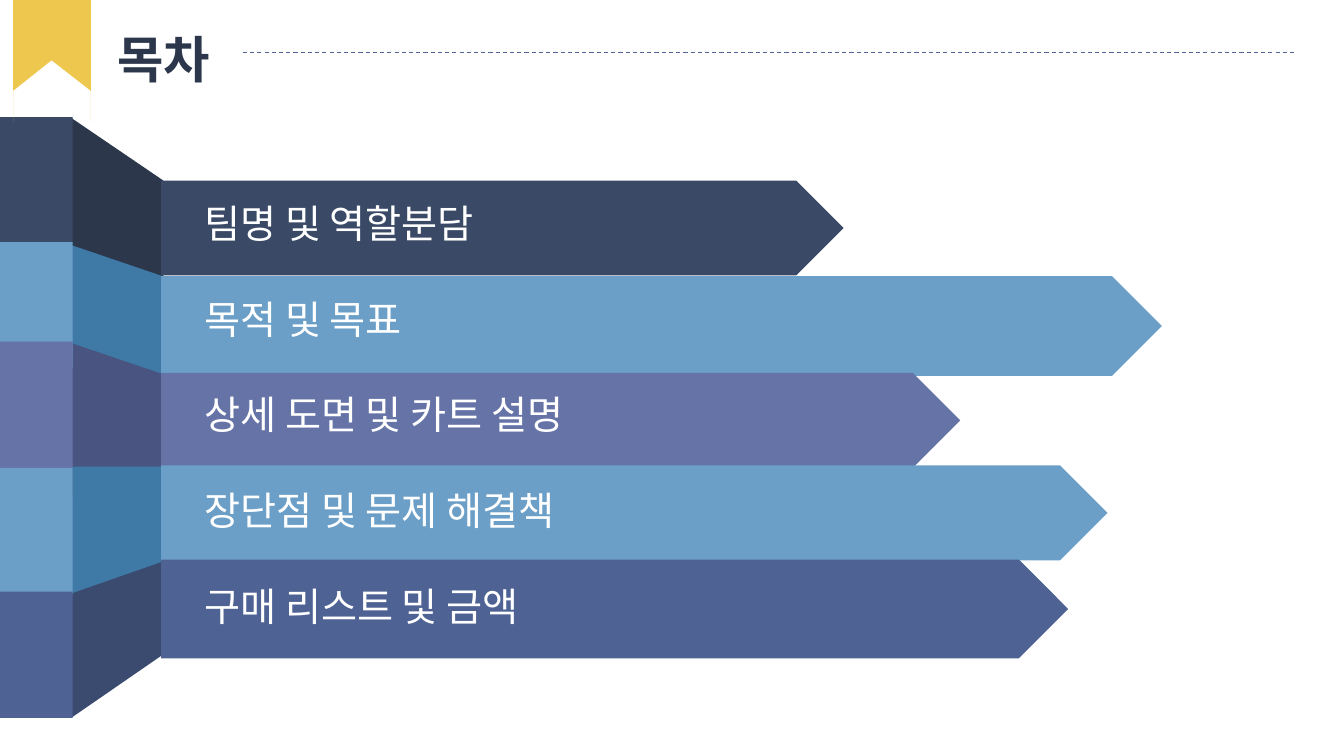
"""Build the table-of-contents slide with a folded ribbon of five arrows."""
from lxml import etree
from pptx import Presentation
from pptx.dml.color import RGBColor
from pptx.enum.dml import MSO_LINE
from pptx.enum.shapes import MSO_CONNECTOR, MSO_SHAPE
from pptx.enum.text import MSO_AUTO_SIZE, PP_ALIGN
from pptx.oxml.ns import qn
from pptx.util import Cm, Pt

FONT = "Noto Sans CJK KR"
WHITE = RGBColor(0xFF, 0xFF, 0xFF)
INK = RGBColor(0x2C, 0x37, 0x4C)
NAVY = RGBColor(0x3A, 0x49, 0x66)
BLUE = RGBColor(0x6B, 0x9F, 0xC7)
DARK_BLUE = RGBColor(0x3F, 0x79, 0xA6)
PURPLE = RGBColor(0x65, 0x73, 0xA7)
DARK_PURPLE = RGBColor(0x49, 0x55, 0x80)
INDIGO = RGBColor(0x4E, 0x62, 0x94)
DARK_INDIGO = RGBColor(0x3B, 0x4A, 0x6F)
GOLD = RGBColor(0xED, 0xC7, 0x4E)

TITLE = "목차"
# text, colour, arrow (top, width, height), strip top, text width
ITEMS = [
    ("팀명 및 역할분담", NAVY, (4.55, 17.2, 2.39), 2.95, 11.58),
    ("목적 및 목표", BLUE, (6.96, 25.22, 2.51), 6.1, 11.58),
    ("상세 도면 및 카트 설명", PURPLE, (9.4, 20.14, 2.39), 8.61, 14.76),
    ("장단점 및 문제 해결책", BLUE, (11.73, 23.85, 2.39), 11.79, 17.55),
    ("구매 리스트 및 금액", INDIGO, (14.1, 22.86, 2.49), 14.91, 11.58),
]
# colour, top, height, slant, rises to the right
FOLDS = [
    (DARK_PURPLE, 8.55, 1.83, 0, True),
    (INK, 2.98, 4.93, 0.68, False),
    (DARK_INDIGO, 13.13, 4.95, 0.69, True),
    (DARK_PURPLE, 9.46, 3.2, 0.35, True),
    (DARK_BLUE, 6.18, 3.25, 0.34, False),
    (DARK_BLUE, 11.75, 3.2, 0.35, True),
]
FOLD_PATCH = (1.83, 11.76, 2.31, 1.57)
BOOKMARK = [(0.33, 0), (2.29, 0), (2.29, 3.07), (2.29, 2.29),
            (1.3, 1.52), (0.33, 2.29), (0.33, 3.07)]
STRIP_W, STRIP_H = 1.83, 3.18
FOLD_LEFT, FOLD_W = 1.81, 2.31
ARROW_LEFT = 4.06
TEXT_LEFT, TEXT_TOP, TEXT_PITCH = 4.9, 4.9, 2.41


def paint(sp, color):
    sp.shadow.inherit = False
    sp.fill.solid()
    sp.fill.fore_color.rgb = color
    sp.line.fill.background()
    return sp


def add_block(shapes, kind, box, color):
    return paint(shapes.add_shape(kind, *map(Cm, box)), color)


def add_fold(shapes, color, top, height, slant, rises):
    left = FOLD_LEFT + (FOLD_W - height) / 2
    box = (left, top + (height - FOLD_W) / 2, height, FOLD_W)
    sp = add_block(shapes, MSO_SHAPE.PARALLELOGRAM, box, color)
    sp.adjustments[0] = slant
    sp.rotation = 90 if rises else 270
    if rises:
        sp._element.spPr.find(qn("a:xfrm")).set("flipH", "1")


def add_text(shapes, text, box, size=28, color=WHITE, bold=False,
             align=PP_ALIGN.LEFT):
    tf = shapes.add_textbox(*map(Cm, box)).text_frame
    tf.word_wrap = True
    tf.auto_size = MSO_AUTO_SIZE.SHAPE_TO_FIT_TEXT
    p = tf.paragraphs[0]
    p.alignment = align
    r = p.add_run()
    r.text = text
    r.font.size, r.font.bold, r.font.name = Pt(size), bold, FONT
    r.font.color.rgb = color
    etree.SubElement(r._r.get_or_add_rPr(), qn("a:ea")).set("typeface", FONT)


def main():
    prs = Presentation()
    prs.slide_width, prs.slide_height = Cm(33.87), Cm(19.05)
    shapes = prs.slides.add_slide(prs.slide_layouts[6]).shapes

    for fold in FOLDS:
        add_fold(shapes, *fold)
    add_block(shapes, MSO_SHAPE.RECTANGLE, FOLD_PATCH, DARK_BLUE)

    for i, (text, color, arrow, strip_top, text_w) in enumerate(ITEMS):
        top, width, height = arrow
        add_block(shapes, MSO_SHAPE.PENTAGON,
                  (ARROW_LEFT, top, width, height), color)
        add_block(shapes, MSO_SHAPE.RECTANGLE,
                  (0, strip_top, STRIP_W, STRIP_H), color)
    for i, (text, color, arrow, strip_top, text_w) in enumerate(ITEMS):
        add_text(shapes, text,
                 (TEXT_LEFT, TEXT_TOP + i * TEXT_PITCH, text_w, 1.45))

    start, *rest = [(Cm(x), Cm(y)) for x, y in BOOKMARK]
    fb = shapes.build_freeform(*start)
    fb.add_line_segments(rest)
    paint(fb.convert_to_shape(), GOLD)

    add_text(shapes, TITLE, (2.29, 0.58, 3.25, 1.8), size=36, color=INK,
             bold=True, align=PP_ALIGN.RIGHT)
    rule = shapes.add_connector(MSO_CONNECTOR.STRAIGHT,
                                Cm(6.12), Cm(1.32), Cm(32.69), Cm(1.32))
    rule.line.color.rgb = INDIGO
    rule.line.width = Pt(0.75)
    rule.line.dash_style = MSO_LINE.DASH
    etree.SubElement(rule._element.spPr, qn("a:effectLst"))

    prs.save("out.pptx")


if __name__ == "__main__":
    main()
